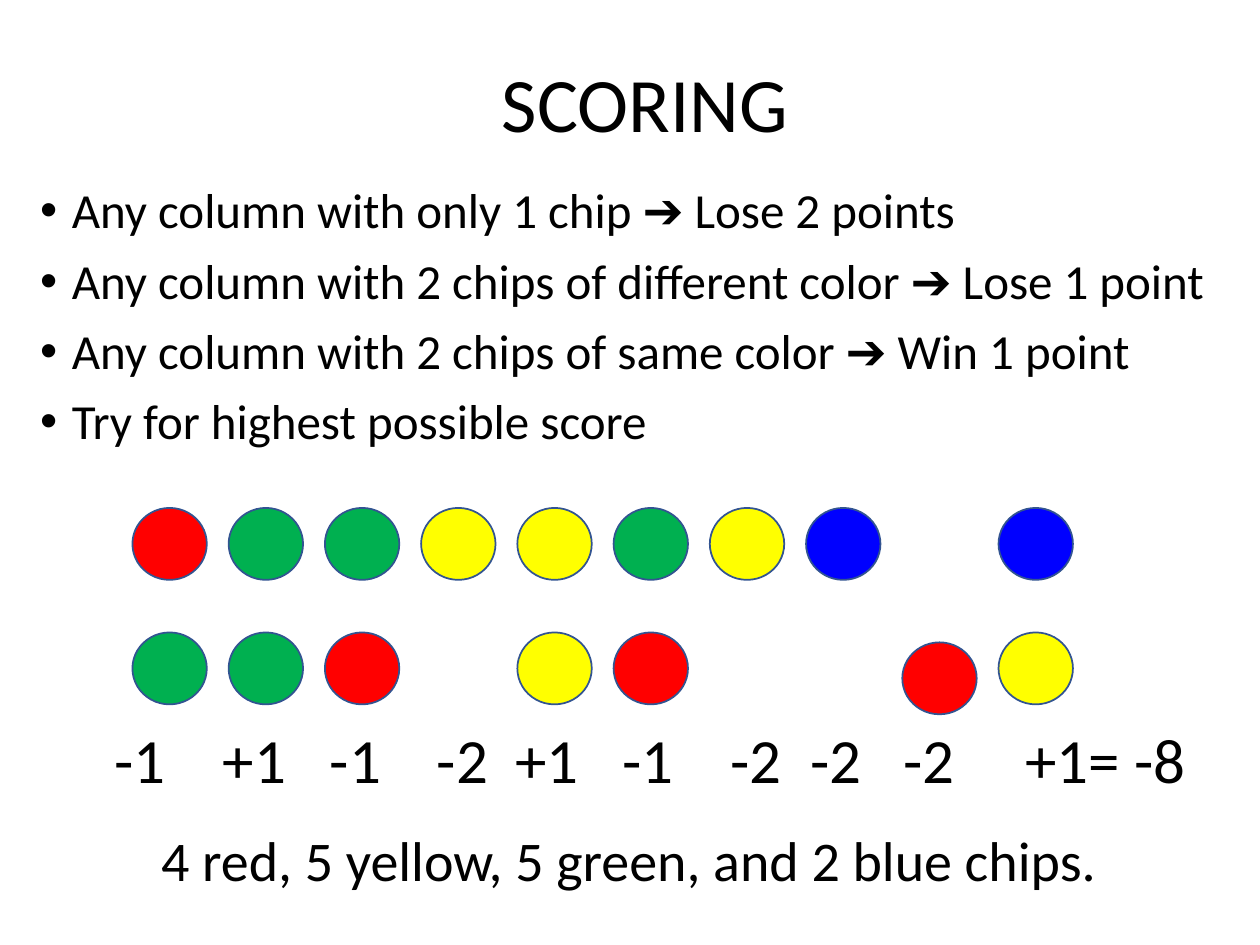
import lxml.etree
import pptx
import pptx.dml.color
import pptx.enum.shapes
import pptx.enum.text
import pptx.oxml.ns
import pptx.util
from pptx.util import Cm

RED = pptx.dml.color.RGBColor(0xFF, 0x00, 0x00)
GREEN = pptx.dml.color.RGBColor(0x00, 0xB0, 0x50)
YELLOW = pptx.dml.color.RGBColor(0xFF, 0xFF, 0x00)
BLUE = pptx.dml.color.RGBColor(0x00, 0x00, 0xFF)
OUTLINE = pptx.dml.color.RGBColor(0x32, 0x54, 0x91)
BLACK = pptx.dml.color.RGBColor(0x00, 0x00, 0x00)

RULES = [
    "Any column with only 1 chip ➔ Lose 2 points",
    "Any column with 2 chips of different color ➔ Lose 1 point",
    "Any column with 2 chips of same color ➔ Win 1 point",
    "Try for highest possible score",
]
# One entry per column; None leaves the place empty.
TOP_CHIPS = [RED, GREEN, GREEN, YELLOW, YELLOW, GREEN, YELLOW, BLUE, None, BLUE]
BOTTOM_CHIPS = [GREEN, GREEN, RED, None, YELLOW, RED, None, None, RED, YELLOW]
LOWERED_COLUMN = 8
FIRST_CHIP_LEFT, CHIP_PITCH = 2.67, 1.94
TOP_ROW, BOTTOM_ROW, LOWERED_ROW = 10.24, 12.75, 12.95

SCORES = ["-1", "+1", "-1", "-2", "+1", "-1", "-2", "-2", "-2", "+1= -8"]
SCORE_TABS = [2.18, 4.34, 6.5, 8.08, 10.24, 12.42, 14.02, 15.9, 18.36]


class ScoringSlide:
    font_name = "Calibri"

    def __init__(self, slide):
        self.slide = slide

    def text(self, left, top, width, height, lines, size, centred=False,
             spacing=None, bullets=False, tabs=()):
        """Add a text box; lengths, including tab stops, are in centimetres."""
        box = self.slide.shapes.add_textbox(Cm(left), Cm(top), Cm(width), Cm(height))
        frame = box.text_frame
        frame.word_wrap = True
        if centred:
            frame.vertical_anchor = pptx.enum.text.MSO_ANCHOR.MIDDLE
        for index, line in enumerate(lines):
            paragraph = frame.add_paragraph() if index else frame.paragraphs[0]
            paragraph.text = line
            if centred:
                paragraph.alignment = pptx.enum.text.PP_ALIGN.CENTER
            if spacing:
                paragraph.line_spacing = spacing
            if index:
                paragraph.space_before = pptx.util.Pt(10)
            if bullets:
                self.bullet(paragraph)
            if tabs:
                self.tab_stops(paragraph, tabs)
            paragraph.font.name = self.font_name
            paragraph.font.size = pptx.util.Pt(size)
            paragraph.font.color.rgb = BLACK

    def bullet(self, paragraph):
        properties = paragraph._p.get_or_add_pPr()
        indent = Cm(0.64)
        properties.set("marL", str(indent))
        properties.set("indent", str(-indent))
        for tag, name, value in (("a:buFont", "typeface", "Arial"),
                                 ("a:buChar", "char", "•")):
            element = lxml.etree.SubElement(properties, pptx.oxml.ns.qn(tag))
            element.set(name, value)

    def tab_stops(self, paragraph, positions):
        properties = paragraph._p.get_or_add_pPr()
        stops = lxml.etree.SubElement(properties, pptx.oxml.ns.qn("a:tabLst"))
        for position in positions:
            stop = lxml.etree.SubElement(stops, pptx.oxml.ns.qn("a:tab"))
            stop.set("pos", str(Cm(position)))
            stop.set("algn", "l")

    def chip(self, column, top, color):
        left = FIRST_CHIP_LEFT + column * CHIP_PITCH
        chip = self.slide.shapes.add_shape(
            pptx.enum.shapes.MSO_SHAPE.OVAL, Cm(left), Cm(top), Cm(1.5), Cm(1.45))
        chip.shadow.inherit = False
        chip.fill.solid()
        chip.fill.fore_color.rgb = color
        chip.line.color.rgb = OUTLINE
        chip.line.width = pptx.util.Pt(1)


def main():
    deck = pptx.Presentation()
    deck.slide_width, deck.slide_height = Cm(25.4), Cm(19.05)
    scoring = ScoringSlide(deck.slides.add_slide(deck.slide_layouts[6]))

    scoring.text(0.56, 3.63, 24.43, 12.09, RULES, 28, spacing=0.9, bullets=True)
    scoring.text(2.06, 0.33, 21.89, 3.68, ["SCORING"], 44, centred=True, spacing=0.9)
    scoring.text(2.06, 14.4, 22.33, 1.8, ["\t".join(SCORES)], 36, tabs=SCORE_TABS)

    for chips, row_top in ((TOP_CHIPS, TOP_ROW), (BOTTOM_CHIPS, BOTTOM_ROW)):
        for column, color in enumerate(chips):
            if color is not None:
                top = LOWERED_ROW if column == LOWERED_COLUMN else row_top
                scoring.chip(column, top, color)

    scoring.text(3, 16.51, 19.56, 2.39,
                 ["4 red, 5 yellow, 5 green, and 2 blue chips."], 32)
    deck.save("out.pptx")


if __name__ == "__main__":
    main()
